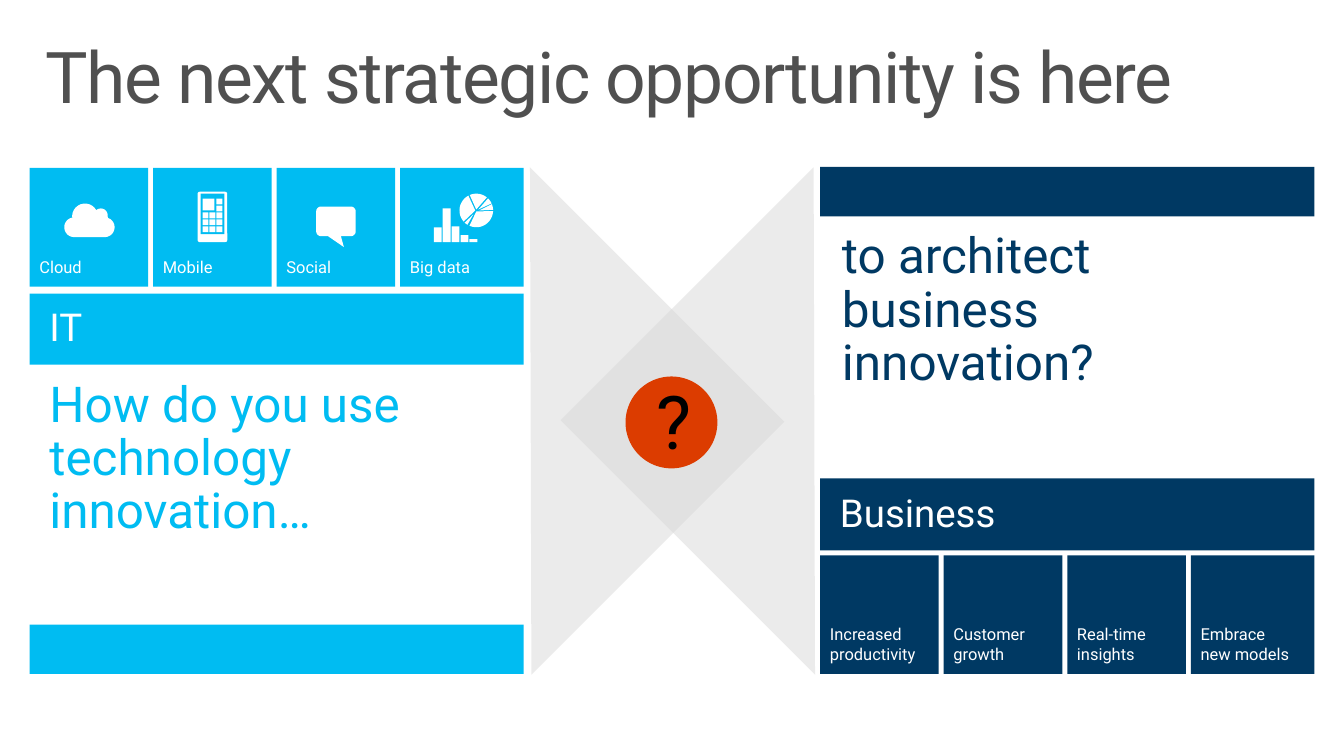
from dataclasses import dataclass
from math import cos, radians, sin

from lxml import etree
from pptx import Presentation
from pptx.dml.color import RGBColor
from pptx.enum.shapes import MSO_SHAPE
from pptx.enum.text import MSO_ANCHOR, PP_ALIGN
from pptx.oxml.ns import qn
from pptx.shapes.autoshape import Shape
from pptx.slide import Slide
from pptx.util import Inches, Pt

RECTANGLE = MSO_SHAPE.RECTANGLE
ROUNDED = MSO_SHAPE.ROUNDED_RECTANGLE
TRIANGLE = MSO_SHAPE.RIGHT_TRIANGLE
OVAL = MSO_SHAPE.OVAL
TOP, MIDDLE, BOTTOM = MSO_ANCHOR.TOP, MSO_ANCHOR.MIDDLE, MSO_ANCHOR.BOTTOM
LEFT, CENTER = PP_ALIGN.LEFT, PP_ALIGN.CENTER

FONT = "Roboto"
COLORS = {
    "it": "00BCF2",
    "business": "003963",
    "title": "505050",
    "white": "FFFFFF",
    "black": "000000",
    "beam": "D9D9D9",
    "question": "DC3C00",
}
HEADING_INSETS = (0.2, 0.16, 0.2, 0.16)
TILE_INSETS = (0.1, 0.16, 0.2, 0.1)
TILE_SIZE, TILE_PITCH, PANEL_WIDTH = 1.2, 1.25, 5

Point = tuple[float, float]


@dataclass
class Panel:
    color: str
    left: float
    tiles_top: float
    tiles: list[str]
    heading: str
    heading_top: float
    heading_height: float
    heading_anchor: MSO_ANCHOR
    bar_top: float
    message: str
    message_area: tuple[float, float, float, float]
    message_insets: tuple[float, float, float, float]


@dataclass
class Slice:
    tip: Point
    start: float
    end: float


PANELS = [
    Panel("it", 0.3, 1.7, ["Cloud", "Mobile", "Social", "Big data"],
          "IT", 2.97, 0.72, MIDDLE, 6.32,
          "How do you use technology innovation…", (0.3, 3.69, 5, 1.98),
          (0.2, 0.15, 0.2, 0.16)),
    Panel("business", 8.3, 5.62,
          ["Increased\nproductivity", "Customer growth",
           "Real-time insights", "Embrace new models"],
          "Business", 4.84, 0.73, TOP, 1.69,
          "to architect business innovation?", (8.32, 2.19, 4.6, 1.87),
          (0.2, 0.15, 0.2, 0.05)),
]

SLICES = [
    Slice((4.82, 2.12), 247, 309),
    Slice((4.84, 2.12), 314, 335),
    Slice((4.85, 2.13), 338, 358),
    Slice((4.82, 2.14), 2, 114),
    Slice((4.79, 2.17), 122, 134),
    Slice((4.81, 2.13), 139, 242),
]


def paint(shape: Shape, color: str) -> Shape:
    shape.shadow.inherit = False
    shape.fill.solid()
    shape.fill.fore_color.rgb = RGBColor.from_string(COLORS[color])
    shape.line.fill.background()
    return shape


def add_block(page: Slide, kind: MSO_SHAPE, left: float, top: float,
              width: float, height: float, color: str) -> Shape:
    return paint(page.shapes.add_shape(kind, Inches(left), Inches(top),
                                       Inches(width), Inches(height)), color)


def add_box(page: Slide, left: float, top: float, width: float, height: float) -> Shape:
    return page.shapes.add_textbox(Inches(left), Inches(top),
                                   Inches(width), Inches(height))


def write(box: Shape, text: str, *, size: float, color: str,
          insets: tuple[float, float, float, float] = (0.1, 0.05, 0.1, 0.05),
          anchor: MSO_ANCHOR = TOP, align: PP_ALIGN = LEFT,
          line_spacing: float = 1.0, tracking: float = 0, wrap: bool = True) -> None:
    frame = box.text_frame
    frame.word_wrap = wrap
    frame.vertical_anchor = anchor
    (frame.margin_left, frame.margin_top,
     frame.margin_right, frame.margin_bottom) = map(Inches, insets)
    for index, line in enumerate(text.split("\n")):
        para = frame.add_paragraph() if index else frame.paragraphs[0]
        para.alignment = align
        para.line_spacing = line_spacing
        span = para.add_run()
        span.text = line
        span.font.name = FONT
        span.font.size = Pt(size)
        span.font.color.rgb = RGBColor.from_string(COLORS[color])
        if tracking:
            span.font._element.set("spc", str(int(tracking * 100)))


def arc(x: float, y: float, radius: float, start: float, end: float) -> list[Point]:
    """Points along a clockwise arc, with angles in degrees from the right."""
    steps = 12
    angles = [radians(start + (end - start) * i / steps) for i in range(steps + 1)]
    return [(x + radius * cos(a), y + radius * sin(a)) for a in angles]


def add_outline(page: Slide, points: list[Point], color: str) -> None:
    corners = [(Inches(x), Inches(y)) for x, y in points]
    builder = page.shapes.build_freeform(*corners[0])
    builder.add_line_segments(corners[1:], close=True)
    paint(builder.convert_to_shape(), color)


def add_beam(page: Slide, left: float, rotation: float) -> None:
    beam = add_block(page, TRIANGLE, left, 2.45, 3.64, 3.62, "beam")
    beam.rotation = rotation
    fill_color = beam._element.spPr.find(qn("a:solidFill"))[0]
    etree.SubElement(fill_color, qn("a:alpha"), val="50000")


def add_panel(page: Slide, panel: Panel) -> None:
    for index, label in enumerate(panel.tiles):
        offset = index * TILE_PITCH
        is_last = index == len(panel.tiles) - 1
        width = PANEL_WIDTH - offset if is_last else TILE_SIZE
        tile = add_block(page, RECTANGLE, panel.left + offset, panel.tiles_top,
                         width, TILE_SIZE, panel.color)
        write(tile, label, size=12, color="white", insets=TILE_INSETS, anchor=BOTTOM)
    heading = add_block(page, RECTANGLE, panel.left, panel.heading_top,
                        PANEL_WIDTH, panel.heading_height, panel.color)
    write(heading, panel.heading, size=28, color="white", insets=HEADING_INSETS,
          anchor=panel.heading_anchor, line_spacing=0.9)
    add_block(page, RECTANGLE, panel.left, panel.bar_top, PANEL_WIDTH, 0.5, panel.color)
    write(add_box(page, *panel.message_area), panel.message, size=36,
          color=panel.color, insets=panel.message_insets, line_spacing=0.9)


def add_icons(page: Slide) -> None:
    # Cloud
    add_outline(page, arc(0.75, 2.3, 0.1, 90, 257) + arc(0.86, 2.19, 0.13, 170, 331)
                + arc(1.02, 2.18, 0.07, 225, 368) + arc(1.06, 2.3, 0.1, 290, 450), "white")

    # Phone: body, screen, large app and small keys
    body = add_block(page, ROUNDED, 2, 1.94, 0.3, 0.51, "white")
    body.adjustments[0] = 0.07
    add_block(page, RECTANGLE, 2.03, 1.96, 0.24, 0.41, "it")
    add_block(page, RECTANGLE, 2.05, 2.01, 0.12, 0.12, "white")
    for row in range(5):
        for column in range(3):
            if row > 1 or column == 2:
                add_block(page, RECTANGLE, 2.05 + 0.07 * column, 2.01 + 0.07 * row,
                          0.06, 0.06, "white")

    # Speech bubble
    add_outline(page, arc(3.25, 2.14, 0.05, 180, 270) + arc(3.55, 2.14, 0.05, 270, 360)
                + arc(3.55, 2.34, 0.05, 0, 90) + [(3.45, 2.39), (3.48, 2.5), (3.32, 2.39)]
                + arc(3.25, 2.34, 0.05, 90, 180), "white")

    # Bars and pie
    for index, height in enumerate([0.15, 0.34, 0.16, 0.07, 0.03]):
        add_block(page, RECTANGLE, 4.39 + 0.09 * index, 2.45 - height, 0.08, height, "white")
    for part in SLICES:
        add_outline(page, [part.tip] + arc(4.82, 2.13, 0.17, part.start, part.end), "white")


def main() -> None:
    deck = Presentation()
    deck.slide_width, deck.slide_height = Inches(13.6), Inches(7.65)
    page = deck.slides.add_slide(deck.slide_layouts[6])

    # Title
    write(add_box(page, 0.3, 0.32, 13, 1.04), "The next strategic opportunity is here",
          size=52, color="title", insets=(0.16, 0.1, 0.16, 0.1),
          line_spacing=0.9, tracking=-1)

    # Panels and icons
    for panel in PANELS:
        add_panel(page, panel)
    add_icons(page)

    # Crossing beams with the question between them
    add_beam(page, 3.55, 225)
    add_beam(page, 6.42, 45)
    add_block(page, OVAL, 6.33, 3.81, 0.93, 0.93, "question")
    write(add_box(page, 6.54, 3.75, 0.53, 1.01), "?", size=54, color="black",
          align=CENTER, wrap=False)

    deck.save("out.pptx")


if __name__ == "__main__":
    main()
